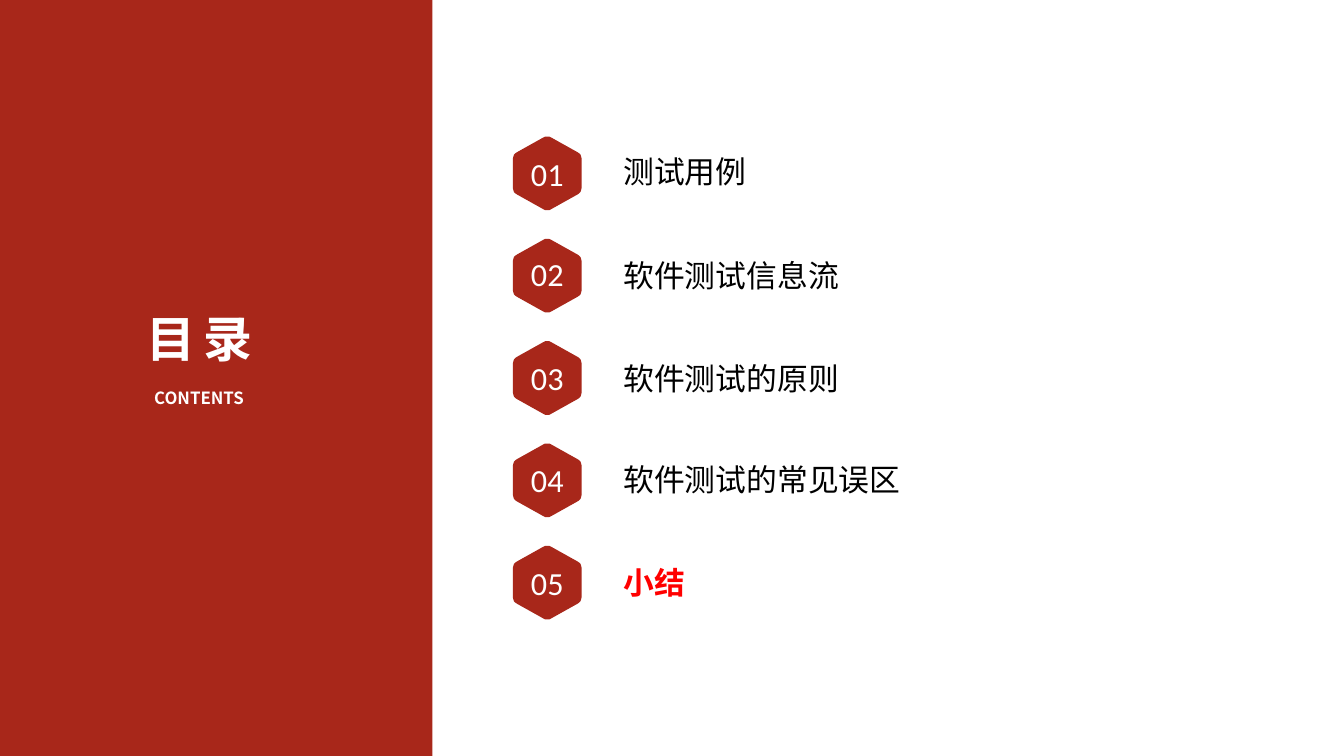
import pptx
import pptx.util
import pptx.dml.color
import pptx.enum.shapes
import pptx.enum.text
import pptx.oxml
import pptx.oxml.ns

PX = 9144  # EMU per px, 100 px to the inch
RED = pptx.dml.color.RGBColor(0xA8, 0x27, 0x1A)
BRIGHT_RED = pptx.dml.color.RGBColor(0xFF, 0x00, 0x00)
WHITE = pptx.dml.color.RGBColor(0xFF, 0xFF, 0xFF)
BLACK = pptx.dml.color.RGBColor(0x00, 0x00, 0x00)
HAN = "Noto Sans CJK SC"
CENTER = pptx.enum.text.PP_ALIGN.CENTER
LEFT = pptx.enum.text.PP_ALIGN.LEFT
TOP = pptx.enum.text.MSO_ANCHOR.TOP
MIDDLE = pptx.enum.text.MSO_ANCHOR.MIDDLE


def fill_red(shape):
    shape.shadow.inherit = False
    shape.fill.solid()
    shape.fill.fore_color.rgb = RED
    shape.line.fill.background()


def add_text(shapes, area, text, color, font, align=CENTER, anchor=TOP):
    box = shapes.add_textbox(*[value * PX for value in area])
    frame = {"word_wrap": True, "vertical_anchor": anchor}
    for side in ("left", "top", "right", "bottom"):
        frame["margin_" + side] = 5 * PX
    for name, value in frame.items():
        setattr(box.text_frame, name, value)
    para = box.text_frame.paragraphs[0]
    para.alignment = align
    span = para.add_run()
    span.text = text
    for name, value in font.items():
        setattr(span.font, name, value)
    span.font.color.rgb = color
    east_asian = pptx.oxml.parse_xml(
        f'<a:ea {pptx.oxml.ns.nsdecls("a")} typeface="{font["name"]}"/>')
    span.font._element.append(east_asian)
    return span


deck = pptx.Presentation()
deck.slide_width = 2667 * PX
deck.slide_height = 1500 * PX
page = deck.slides.add_slide(deck.slide_layouts[6])

# Red side panel
panel = page.shapes.add_shape(
    pptx.enum.shapes.MSO_SHAPE.RECTANGLE, 0, 0, 858 * PX, 1500 * PX)
fill_red(panel)

# Heading on the panel
heading = page.shapes.add_group_shape()
add_text(heading.shapes, (187, 764, 416, 99), "CONTENTS", WHITE,
         {"name": HAN, "size": pptx.util.Pt(24), "bold": True})
title = add_text(heading.shapes, (112, 608, 568, 285), "目录", WHITE,
                 {"name": HAN, "size": pptx.util.Pt(70), "bold": True})
title.font._element.set("spc", "1170")

# Rounded hexagon around its centre: one quarter, mirrored
quarter = [(0, -73), (4, -73), (8, -71), (60, -42),
           (63, -40), (66, -37), (67, -34), (68, -30)]
right = quarter + [(x, -y) for x, y in reversed(quarter)]
hexagon = right + [(-x, y) for x, y in reversed(right)]

# Contents rows: label, label top, label width, label height, number top
rows = [
    ("测试用例", 298, 418, 93, 292),
    ("软件测试信息流", 504, 495, 76, 490),
    ("软件测试的原则", 709, 495, 73, 697),
    ("软件测试的常见误区", 910, 610, 96, 900),
    ("小结", 1113, 270, 86, 1103),
]
for index, (label, top, width, height, number_top) in enumerate(rows):
    center_x, center_y = 1086, 344 + 203 * index
    points = [(center_x + x, center_y + y) for x, y in hexagon]
    outline = page.shapes.build_freeform(*points[0], scale=PX)
    outline.add_line_segments(points[1:], close=True)
    fill_red(outline.convert_to_shape())

    add_text(page.shapes, (999, number_top, 174, 105), f"{index + 1:02d}", WHITE,
             {"name": "Calibri", "size": pptx.util.Pt(46)}, anchor=MIDDLE)

    current = label == "小结"
    add_text(page.shapes, (1232, top, width, height), label,
             BRIGHT_RED if current else BLACK,
             {"name": HAN, "size": pptx.util.Pt(44), "bold": current}, align=LEFT)

deck.save("out.pptx")
